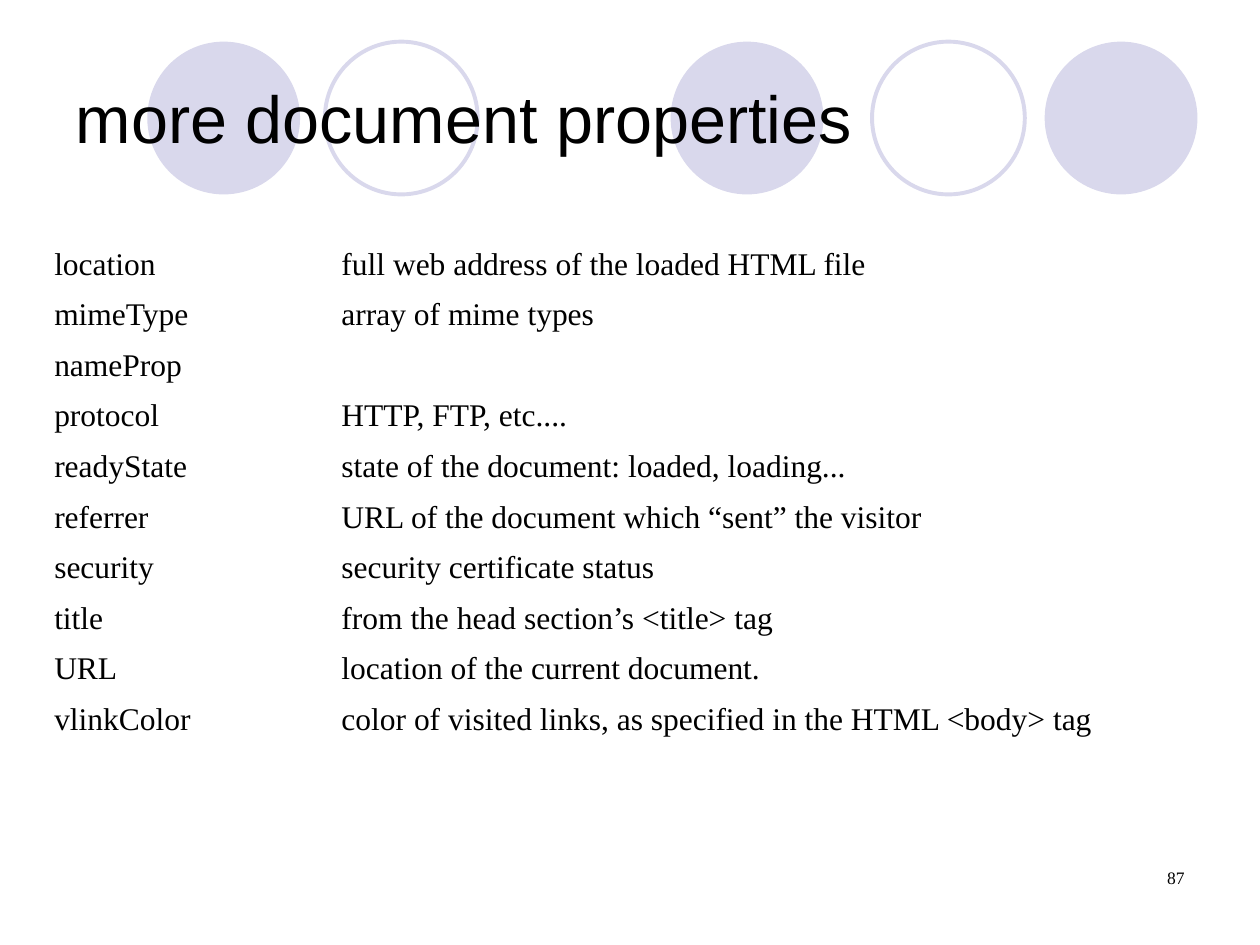
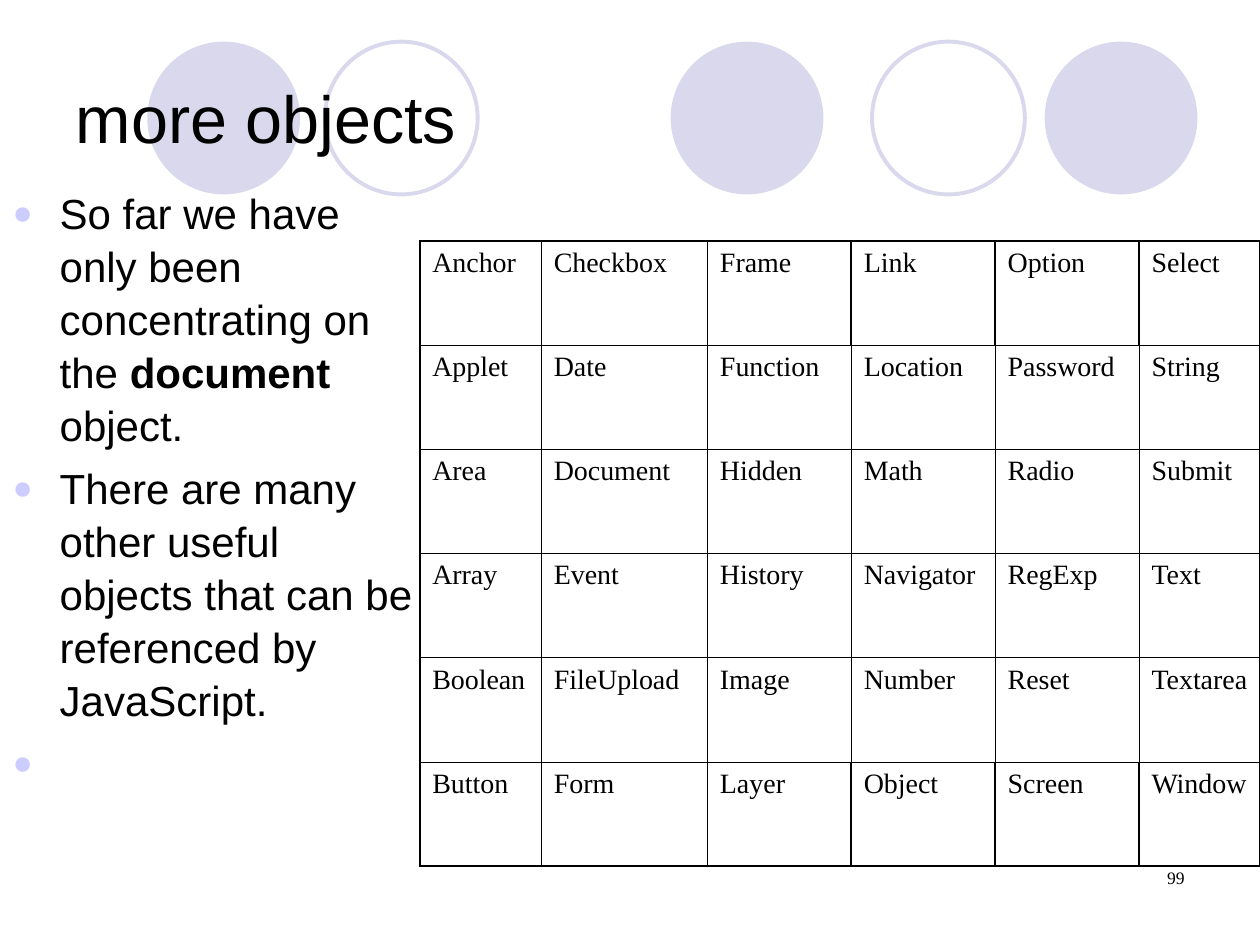
"""Build two slides on JavaScript document properties and objects."""
from lxml.etree import SubElement
from pptx import Presentation
from pptx.dml.color import RGBColor
from pptx.enum.shapes import MSO_SHAPE
from pptx.enum.text import MSO_ANCHOR, MSO_AUTO_SIZE, PP_ALIGN
from pptx.oxml.ns import qn
from pptx.util import Cm, Pt

COLOURS = {"text": "000000", "circle": "D9D8EC", "bullet": "CCCCFF", "border": "000000"}
HEADING_FONT = "Arial"
DETAIL_FONT = "Times New Roman"


def style_runs(paragraph, font_name, size):
    for run in paragraph.runs:
        run.font.name = font_name
        run.font.size = Pt(size)
        run.font.color.rgb = RGBColor.from_string(COLOURS["text"])


def add_grid(slide, rows, left, top, widths, heights, size):
    grid = slide.shapes.add_table(
        len(rows), len(widths), Cm(left), Cm(top), Cm(sum(widths)), Cm(sum(heights))
    ).table
    grid.first_row = grid.horz_banding = False
    for column, width in zip(grid.columns, widths):
        column.width = Cm(width)
    for row, height, entries in zip(grid.rows, heights, rows):
        row.height = Cm(height)
        for cell, entry in zip(row.cells, entries):
            cell.text_frame.text = entry
            cell.margin_bottom = 0
            cell.fill.background()
            style_runs(cell.text_frame.paragraphs[0], DETAIL_FONT, size)
    return grid


prs = Presentation()
prs.slide_width, prs.slide_height = Cm(25.4), Cm(19.05)

properties_slide = prs.slides.add_slide(prs.slide_layouts[5])
objects_slide = prs.slides.add_slide(prs.slide_layouts[1])

master_tree = prs.slide_master.shapes.element
circles = [(13.52, True), (21.06, True), (2.97, True), (17.58, False), (6.55, False)]
for number, (left, filled) in enumerate(circles):
    circle = properties_slide.shapes.add_shape(
        MSO_SHAPE.OVAL, Cm(left), Cm(0.84), Cm(3.08), Cm(3.08)
    )
    circle.shadow.inherit = False
    if filled:
        circle.fill.solid()
        circle.fill.fore_color.rgb = RGBColor.from_string(COLOURS["circle"])
        circle.line.fill.background()
    else:
        circle.fill.background()
        circle.line.color.rgb = RGBColor.from_string(COLOURS["circle"])
        circle.line.width = Pt(2.25)
    circle.element.nvSpPr.cNvPr.set("id", str(100 + number))
    master_tree.insert(2 + number, circle.element)

for slide, heading, page in [
    (properties_slide, "more document properties", "87"),
    (objects_slide, "more objects", "99"),
]:
    title = slide.shapes.title
    title.left, title.top, title.width, title.height = Cm(1.27), Cm(0.76), Cm(22.86), Cm(3.18)
    title.text_frame.text = heading
    title.text_frame.auto_size = MSO_AUTO_SIZE.NONE
    title.text_frame.vertical_anchor = MSO_ANCHOR.MIDDLE
    title.text_frame.paragraphs[0].alignment = PP_ALIGN.LEFT
    style_runs(title.text_frame.paragraphs[0], HEADING_FONT, 38)

    page_number = slide.shapes.add_textbox(Cm(18.2), Cm(17.35), Cm(5.93), Cm(1.27)).text_frame
    page_number.word_wrap = True
    page_number.text = page
    page_number.paragraphs[0].alignment = PP_ALIGN.RIGHT
    style_runs(page_number.paragraphs[0], DETAIL_FONT, 10)

properties = [
    ("location", "full web address of the loaded HTML file"),
    ("mimeType", "array of mime types"),
    ("nameProp", ""),
    ("protocol", "HTTP, FTP, etc...."),
    ("readyState", "state of the document: loaded, loading..."),
    ("referrer", "URL of the document which “sent” the visitor"),
    ("security", "security certificate status"),
    ("title", "from the head section’s <title> tag"),
    ("URL", "location of the current document."),
    ("vlinkColor", "color of visited links, as specified in the HTML <body> tag"),
]
spare_rows = [("", "")] * 4
add_grid(
    properties_slide, properties + spare_rows, 0.84, 4.85, [5.79, 17.27],
    [1.02] * len(properties) + [1] * len(spare_rows), 18,
)

points = [
    ["So far we have only been concentrating on the ", "document", " object."],
    ["There are many other useful objects that can be referenced by JavaScript."],
    [" "],
]
body = objects_slide.placeholders[1]
body.left, body.top, body.width, body.height = Cm(0), Cm(3.61), Cm(8.69), Cm(12.6)
body.text_frame.auto_size = MSO_AUTO_SIZE.NONE
body.text_frame.text = "\n".join("" for point in points)
for index, (paragraph, point) in enumerate(zip(body.text_frame.paragraphs, points)):
    paragraph.line_spacing = 1.05
    paragraph.space_before = Pt(6 if index else 0)
    layout = paragraph._p.get_or_add_pPr()
    layout.set("marL", str(Cm(0.95)))
    layout.set("indent", str(Cm(-0.95)))
    bullet_colour = SubElement(layout, qn("a:buClr"))
    SubElement(bullet_colour, qn("a:srgbClr"), val=COLOURS["bullet"])
    SubElement(layout, qn("a:buSzPct"), val="80000")
    SubElement(layout, qn("a:buFont"), typeface=HEADING_FONT)
    SubElement(layout, qn("a:buChar"), char="●")
    for phrase in point:
        run = paragraph.add_run()
        run.text = phrase
        run.font.bold = phrase == "document"
    style_runs(paragraph, HEADING_FONT, 24)

objects = [
    ["Anchor", "Checkbox", "Frame", "Link", "Option", "Select"],
    ["Applet", "Date", "Function", "Location", "Password", "String"],
    ["Area", "Document", "Hidden", "Math", "Radio", "Submit"],
    ["Array", "Event", "History", "Navigator", "RegExp", "Text"],
    ["Boolean", "FileUpload", "Image", "Number", "Reset", "Textarea"],
    ["Button", "Form", "Layer", "Object", "Screen", "Window"],
]
object_grid = add_grid(
    objects_slide, objects, 8.46, 4.86, [2.45, 3.35, 2.9, 2.9, 2.9, 2.44],
    [2.1] * len(objects), 16,
)
last = len(objects) - 1
for row in range(last + 1):
    for column in range(last + 1):
        outer_row = row in (0, last)
        thick_sides = {
            "a:lnL": column == 0 or (outer_row and column >= 3),
            "a:lnR": column == last or (outer_row and column >= 2),
            "a:lnT": row == 0,
            "a:lnB": row == last,
        }
        cell_format = object_grid.cell(row, column)._tc.get_or_add_tcPr()
        for position, (side, thick) in enumerate(thick_sides.items()):
            border = SubElement(cell_format, qn(side), w=str(Pt(1.08 if thick else 0.45)))
            border_fill = SubElement(border, qn("a:solidFill"))
            SubElement(border_fill, qn("a:srgbClr"), val=COLOURS["border"])
            cell_format.insert(position, border)

prs.save("out.pptx")
